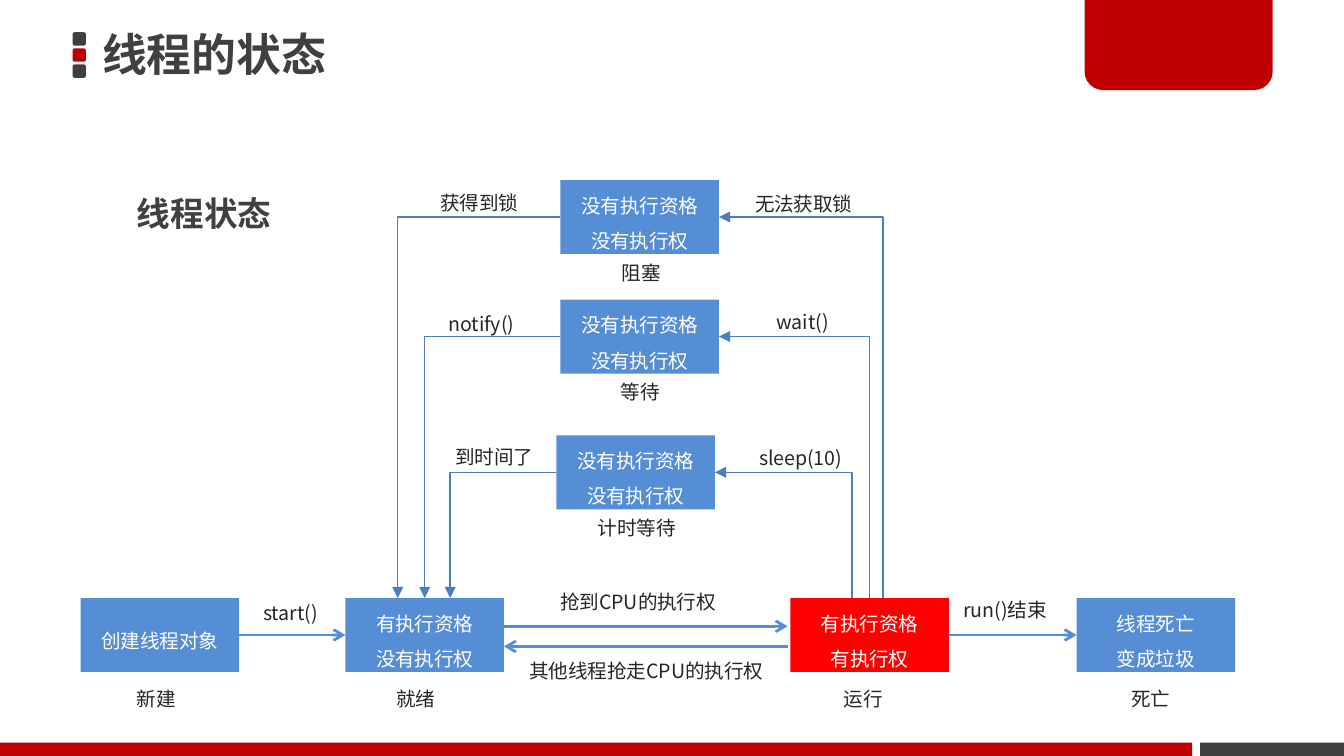
from pptx import Presentation
from pptx.dml.color import RGBColor
from pptx.enum.shapes import MSO_CONNECTOR, MSO_SHAPE
from pptx.enum.text import MSO_ANCHOR, MSO_AUTO_SIZE, PP_ALIGN
from pptx.oxml.ns import qn
from pptx.util import Inches, Pt
from lxml.etree import SubElement

COLORS = {"red": "C00000", "dark": "404040", "blue": "558ED5", "line": "4B7EBC",
          "active": "FF0000", "text": "262626", "white": "FFFFFF"}
FONT = "Noto Sans CJK SC"
SLIDE_W, SLIDE_H = 10, 10 * 9 / 16
BOX_W, BOX_H = 1.18, 0.55
LABEL_H = 0.28
BASE_Y = 4.45
IDLE = ["没有执行资格", "没有执行权"]

STATES = {
    "new": (0.6, BASE_Y, ["创建线程对象"], "新建", 0.32, 0.63),
    "ready": (2.57, BASE_Y, ["有执行资格", "没有执行权"], "就绪", 0.28, 0.63),
    "running": (5.88, BASE_Y, ["有执行资格", "有执行权"], "运行", 0.3, 0.63),
    "dead": (8.01, BASE_Y, ["线程死亡", "变成垃圾"], "死亡", 0.31, 0.63),
    "blocked": (4.17, 1.34, IDLE, "阻塞", 0.36, 0.63),
    "waiting": (4.17, 2.23, IDLE, "等待", 0.35, 0.63),
    "timed": (4.14, 3.24, IDLE, "计时等待", 0.21, 0.82),
}
DETOURS = [
    ("blocked", 6.57, 2.96, ("无法获取锁", 5.52, 1.38, 1.1), ("获得到锁", 3.18, 1.37, 0.9)),
    ("waiting", 6.47, 3.16, ("wait()", 5.68, 2.26, 0.7), ("notify()", 3.24, 2.27, 0.9)),
    ("timed", 6.34, 3.35, ("sleep(10)", 5.55, 3.27, 0.85), ("到时间了", 3.29, 3.26, 0.91)),
]
STEP_LABELS = [
    ("start()", 1.86, 4.42, 0.63),
    ("抢到CPU的执行权", 4.07, 4.34, 1.65),
    ("其他线程抢走CPU的执行权", 3.84, 4.85, 2.12),
    ("run()结束", 7.07, 4.4, 0.87),
]


def rgb(name):
    return RGBColor.from_string(COLORS[name])


def write(tf, lines, color, size=10.5, bold=False, name=FONT, align=PP_ALIGN.LEFT, spacing=1):
    for i, line in enumerate(lines):
        p = tf.paragraphs[0] if i == 0 else tf.add_paragraph()
        for key, value in {"alignment": align, "line_spacing": spacing}.items():
            setattr(p, key, value)
        r = p.add_run()
        r.text = line
        for key, value in {"size": Pt(size), "bold": bold, "name": name}.items():
            setattr(r.font, key, value)
        r.font.color.rgb = rgb(color)
        SubElement(r._r.get_or_add_rPr(), qn("a:ea"), typeface=name)


def add_block(s, kind, x, y, w, h, color):
    sp = s.shapes.add_shape(kind, Inches(x), Inches(y), Inches(w), Inches(h))
    sp.shadow.inherit = False
    sp.fill.solid()
    sp.fill.fore_color.rgb = rgb(color)
    sp.line.fill.background()
    return sp


def add_label(s, text, x, y, w, h=LABEL_H, color="text", **style):
    sp = s.shapes.add_textbox(Inches(x), Inches(y), Inches(w), Inches(h))
    sp.text_frame.word_wrap = True
    write(sp.text_frame, [text], color, **style)


def add_state(s, key):
    x, y, lines, caption, indent, caption_w = STATES[key]
    sp = add_block(s, MSO_SHAPE.RECTANGLE, x, y, BOX_W, BOX_H,
                   "active" if key == "running" else "blue")
    tf = sp.text_frame
    tf.word_wrap = True
    tf.vertical_anchor = MSO_ANCHOR.MIDDLE
    write(tf, lines, "white", align=PP_ALIGN.CENTER, spacing=1.5)
    gap = 0.06 if y == BASE_Y else 0
    add_label(s, caption, x + indent, y + BOX_H + gap, caption_w)
    return sp


def add_arrow(s, start, end, kind=MSO_CONNECTOR.STRAIGHT, color="blue", width=1.5, head="arrow"):
    c = s.shapes.add_connector(kind, *map(Inches, start + end))
    c.line.color.rgb = rgb(color)
    c.line.width = Pt(width)
    spPr = c.element.spPr
    SubElement(spPr.find(qn("a:ln")), qn("a:tailEnd"), type=head)
    SubElement(spPr, qn("a:effectLst"))
    return c


def add_corner(s, start, end, vertical_first):
    if vertical_first:
        cx, cy = (start[0] + end[0]) / 2, (start[1] + end[1]) / 2
        half_w, half_h = abs(start[1] - end[1]) / 2, abs(start[0] - end[0]) / 2
        start, end = (cx - half_w, cy + half_h), (cx + half_w, cy - half_h)
    c = add_arrow(s, start, end, MSO_CONNECTOR.ELBOW, "line", 0.75, "triangle")
    spPr = c.element.spPr
    spPr.find(qn("a:prstGeom")).set("prst", "bentConnector2")
    if vertical_first:
        spPr.find(qn("a:xfrm")).set("rot", str(270 * 60000))


def add_detour(s, key, up_x, down_x, up_label, down_label):
    x, y = STATES[key][:2]
    mid = y + BOX_H / 2
    add_corner(s, (up_x, BASE_Y), (x + BOX_W, mid), True)
    add_corner(s, (x, mid), (down_x, BASE_Y), False)
    for label in (up_label, down_label):
        add_label(s, *label)


def add_frame(s):
    for i, color in enumerate(("dark", "red", "dark")):
        add_block(s, MSO_SHAPE.ROUNDED_RECTANGLE, 0.54, 0.24 + 0.12 * i, 0.1, 0.1, color)
    bar_y = SLIDE_H - 0.1
    add_block(s, MSO_SHAPE.RECTANGLE, 0, bar_y, 8.87, 0.1, "red")
    add_block(s, MSO_SHAPE.RECTANGLE, 8.93, bar_y, 1.07, 0.1, "dark")
    tab = add_block(s, MSO_SHAPE.ROUND_2_SAME_RECTANGLE, 8.07, -0.02, 1.4, 0.69, "red")
    tab.adjustments[0], tab.adjustments[1] = 0, 0.2


def format_title(s):
    sp = s.shapes.title
    for key, value in zip(("left", "top", "width", "height"), (0.69, 0.19, 7.19, 0.42)):
        setattr(sp, key, Inches(value))
    tf = sp.text_frame
    settings = {"margin_left": Inches(0.07), "margin_right": Inches(0.07),
                "margin_top": Inches(0.04), "margin_bottom": Inches(0.04),
                "vertical_anchor": MSO_ANCHOR.MIDDLE, "auto_size": MSO_AUTO_SIZE.NONE}
    for key, value in settings.items():
        setattr(tf, key, value)
    write(tf, ["线程的状态"], "dark", size=24, bold=True, name="Noto Sans CJK JP")


def main():
    prs = Presentation()
    prs.slide_width, prs.slide_height = Inches(SLIDE_W), Inches(SLIDE_H)
    s = prs.slides.add_slide(prs.slide_layouts[5])
    add_frame(s)
    format_title(s)
    add_label(s, "线程状态", 0.92, 1.24, 3.84, 0.56, "dark", size=18, bold=True, spacing=1.5)

    boxes = {key: add_state(s, key) for key in STATES}
    mid = BASE_Y + BOX_H / 2
    for source, target in (("new", "ready"), ("running", "dead")):
        c = add_arrow(s, (STATES[source][0] + BOX_W, mid), (STATES[target][0], mid))
        c.begin_connect(boxes[source], 3)
        c.end_connect(boxes[target], 1)
    add_arrow(s, (3.75, 4.66), (5.86, 4.66))
    add_arrow(s, (5.86, 4.81), (3.75, 4.81))
    for label in STEP_LABELS:
        add_label(s, *label)
    for detour in DETOURS:
        add_detour(s, *detour)
    prs.save("out.pptx")


if __name__ == "__main__":
    main()
